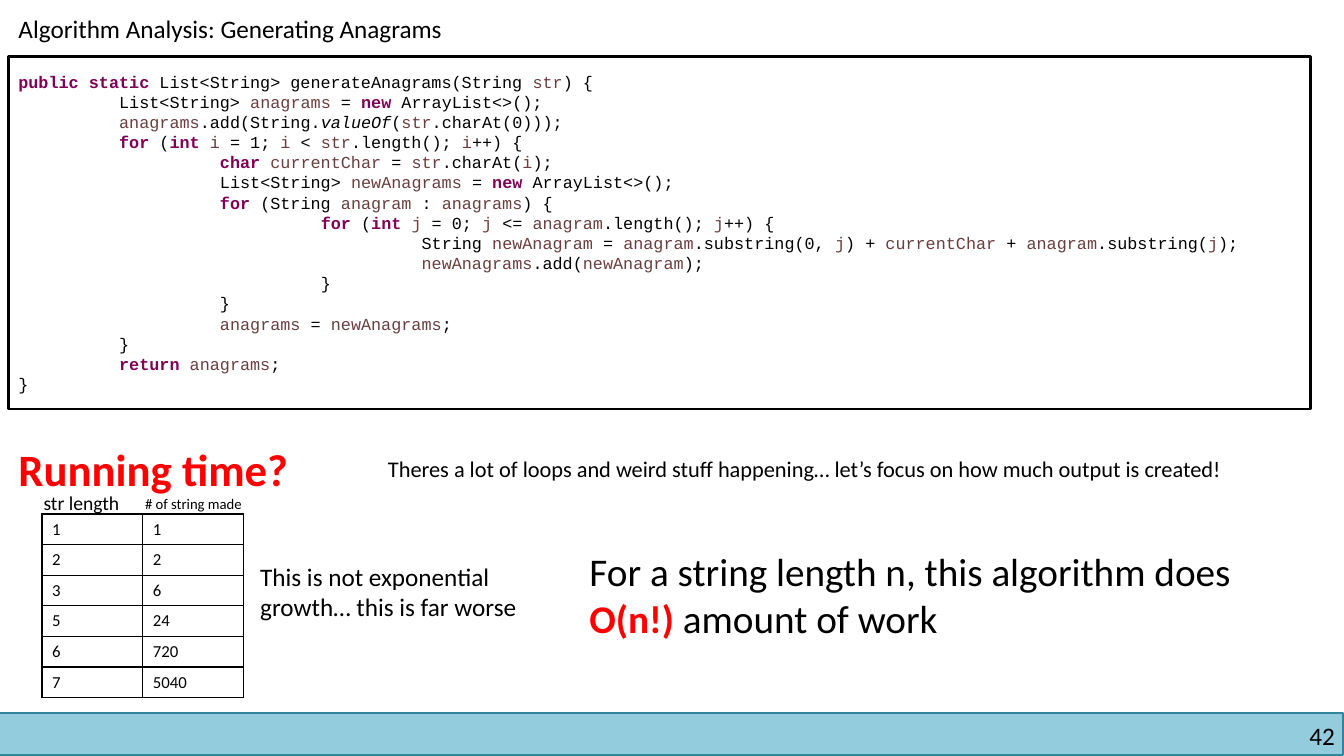
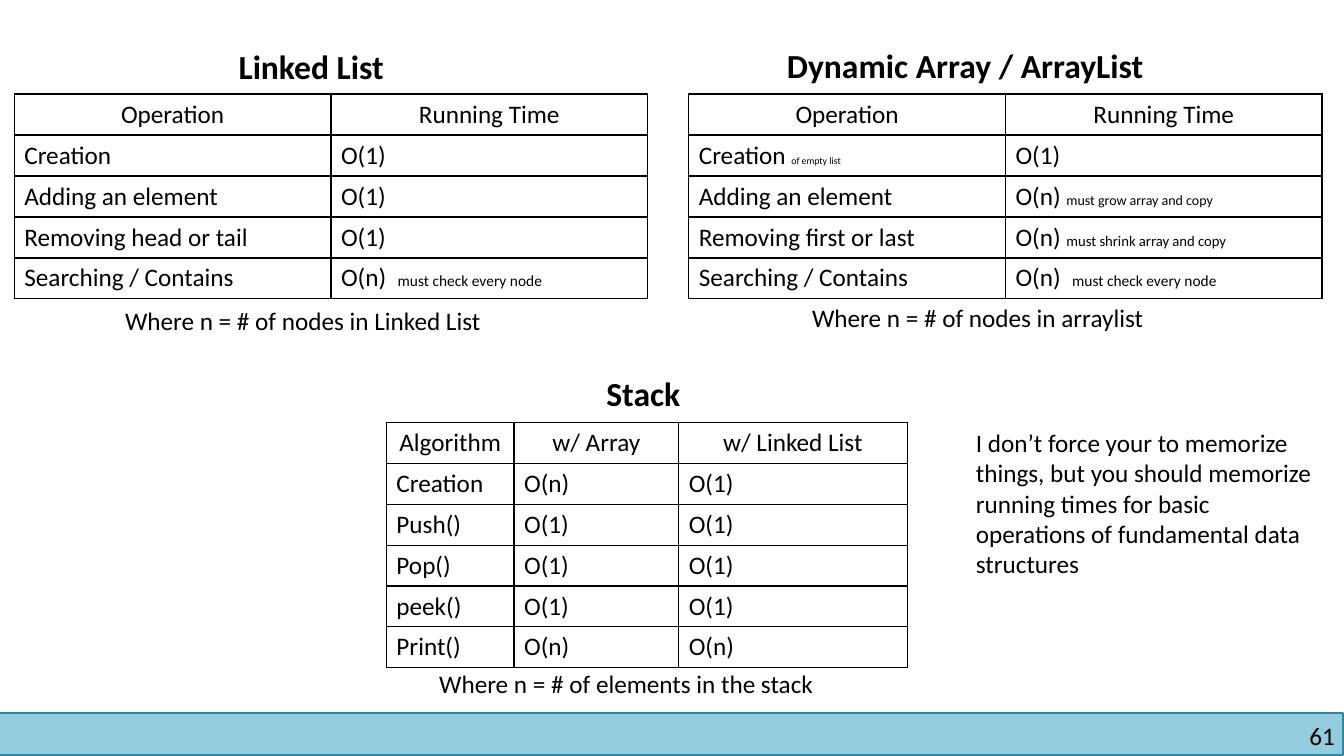
from itertools import groupby

from lxml.etree import SubElement
from pptx import Presentation
from pptx.dml.color import RGBColor
from pptx.enum.shapes import MSO_SHAPE
from pptx.enum.text import MSO_ANCHOR, MSO_AUTO_SIZE, PP_ALIGN
from pptx.oxml.ns import qn
from pptx.util import Inches, Pt

BLACK, WHITE, RED = "000000", "FFFFFF", "FF0000"
BAND, BAND_LINE = "93CDDD", "31859C"
KEYWORD, VARIABLE = "7F0055", "6A3E3E"

prs = Presentation()
prs.slide_width, prs.slide_height = Inches(13.33), Inches(7.5)
rgb = RGBColor.from_string


def at(x, y, w, h):
    """Place on a grid of 160 columns by 90 rows."""
    col, row = prs.slide_width / 160, prs.slide_height / 90
    return int(x * col), int(y * row), int(w * col), int(h * row)


def add_run(p, text, size, color=BLACK, bold=False, font="Calibri"):
    r = p.add_run()
    r.text = text
    r.font.name, r.font.size, r.font.bold = font, Pt(size), bold
    r.font.color.rgb = rgb(color)
    return r


# Code listing
code = """public static List<String> generateAnagrams(String str) {
\tList<String> anagrams = new ArrayList<>();
\tanagrams.add(String.valueOf(str.charAt(0)));
\tfor (int i = 1; i < str.length(); i++) {
\t\tchar currentChar = str.charAt(i);
\t\tList<String> newAnagrams = new ArrayList<>();
\t\tfor (String anagram : anagrams) {
\t\t\tfor (int j = 0; j <= anagram.length(); j++) {
\t\t\t\tString newAnagram = anagram.substring(0, j) + currentChar + anagram.substring(j);
\t\t\t\tnewAnagrams.add(newAnagram);
\t\t\t}
\t\t}
\t\tanagrams = newAnagrams;
\t}
\treturn anagrams;
}"""
word_colors = dict.fromkeys("public static new for int char return".split(), KEYWORD)
word_colors |= dict.fromkeys(
    "str anagrams anagram newAnagrams newAnagram currentChar i j".split(), VARIABLE)

# Tables: place, column widths, text size, has header row, rows
growth = (at(5, 61.2, 24, 21.6), (12, 12), 12, False, [
    ("1", "1"), ("2", "2"), ("3", "6"), ("5", "24"), ("6", "720"), ("7", "5040")])
stack = (at(46, 50.3, 62, 29.2), (15.2, 19.6, 27.2), 18, True, [
    ("Algorithm", "w/ Array", "w/ Linked List"),
    ("Creation", "O(n)", "O(1)"),
    ("Push()", "O(1)", "O(1)"),
    ("Pop()", "O(1)", "O(1)"),
    ("peek()", "O(1)", "O(1)"),
    ("Print()", "O(n)", "O(n)")])
# A cell with a small note is a (text, note, note size) tuple
search = ("Searching / Contains", ("O(n)  ", "must check every node", 11))
linked = (at(1.7, 11.2, 75.4, 24.4), (37.7, 37.7), 18, True, [
    ("Operation", "Running Time"),
    ("Creation", "O(1)"),
    ("Adding an element", "O(1)"),
    ("Removing head or tail", "O(1)"),
    search])
dynamic = (at(82, 11.2, 75.4, 24.4), (37.7, 37.7), 18, True, [
    ("Operation", "Running Time"),
    (("Creation ", "of empty list", 7), "O(1)"),
    ("Adding an element", ("O(n) ", "must grow array and copy", 10)),
    ("Removing first or last", ("O(n) ", "must shrink array and copy", 10.5)),
    search])

# Slides: number, title (place, text, size, bold), tables, text boxes
slides = [
    ("42", (at(1, 1, 58.7, 4.8), "Algorithm Analysis: Generating Anagrams", 18, False),
     [growth], [
        (at(1, 52, 40, 7.7), [("Running time?", 32, RED, True)]),
        (at(45, 53.6, 112, 4.4),
         [("Theres a lot of loops and weird stuff happening… "
           "let’s focus on how much output is created!", 16)]),
        (at(4, 57.9, 12.1, 4), [("str length", 14)]),
        (at(16.1, 58.3, 15.6, 3.5), [("# of string made", 10.5)]),
        (at(29.8, 66.2, 36, 12.1),
         [("This is not exponential growth… this is far worse", 18)]),
        (at(69, 64.6, 88, 12.5),
         [("For a string length n, this algorithm does ", 28),
          ("O(n!) ", 28, RED, True), ("amount of work", 28)])]),
    ("61", (at(27.2, 4.9, 23.8, 6), "Linked List", 24, True),
     [stack, linked, dynamic], [
        (at(71, 43.8, 13.2, 6), [("Stack", 24, BLACK, True)]),
        (at(51.1, 79, 51.6, 4.8), [("Where n = # of elements in the stack", 18)]),
        (at(13.7, 35.8, 50, 4.8), [("Where n = # of nodes in Linked List", 18)]),
        (at(95.5, 35.4, 46, 4.8), [("Where n = # of nodes in arraylist", 18)]),
        (at(92.5, 4.8, 52, 6), [("Dynamic Array / ArrayList", 24, BLACK, True)]),
        (at(115, 50.3, 42.4, 19.4),
         [("I don’t force your to memorize things, but you should memorize running "
           "times for basic operations of fundamental data structures", 18)])]),
]

layout = prs.slide_layouts[5]
for number, (place, title, size, bold), tables, texts in slides:
    s = prs.slides.add_slide(layout)

    # Title
    sp = s.shapes.title
    sp.left, sp.top, sp.width, sp.height = place
    tf = sp.text_frame
    tf.auto_size, tf.vertical_anchor = MSO_AUTO_SIZE.NONE, MSO_ANCHOR.TOP
    tf.paragraphs[0].alignment = PP_ALIGN.LEFT
    add_run(tf.paragraphs[0], title, size, bold=bold)

    # Tables
    for place, widths, size, header, rows in tables:
        table = s.shapes.add_table(len(rows), len(widths), *place).table
        table.first_row = table.horz_banding = False
        for column, width in zip(table.columns, widths):
            column.width = at(0, 0, width, 0)[2]
        for i, row in enumerate(rows):
            for j, content in enumerate(row):
                cell = table.cell(i, j)
                p = cell.text_frame.paragraphs[0]
                if header and i == 0:
                    p.alignment = PP_ALIGN.CENTER
                text, *note = (content,) if isinstance(content, str) else content
                add_run(p, text, size)
                if note:
                    add_run(p, *note)
                tcPr = cell._tc.get_or_add_tcPr()
                for side in ("lnL", "lnR", "lnT", "lnB"):
                    ln = SubElement(tcPr, qn("a:" + side), w=str(Pt(1)))
                    SubElement(SubElement(ln, qn("a:solidFill")), qn("a:srgbClr"), val=BLACK)
                cell.fill.solid()
                cell.fill.fore_color.rgb = rgb(WHITE)

    # Text boxes
    for place, runs in texts:
        tf = s.shapes.add_textbox(*place).text_frame
        tf.word_wrap = True
        for run in runs:
            add_run(tf.paragraphs[0], *run)

    # Slide number
    tf = s.shapes.add_textbox(*at(122, 85.8, 36.9, 3.6)).text_frame
    tf.word_wrap = True
    tf.margin_left = tf.margin_right = tf.margin_top = tf.margin_bottom = 0
    tf.paragraphs[0].alignment = PP_ALIGN.RIGHT
    add_run(tf.paragraphs[0], number, 18)

# Code box on the first slide
s = prs.slides[0]
sp = s.shapes.add_shape(MSO_SHAPE.RECTANGLE, *at(1, 6.7, 155, 42))
sp.shadow.inherit = False
sp.fill.solid()
sp.fill.fore_color.rgb = rgb(WHITE)
sp.line.color.rgb, sp.line.width = rgb(BLACK), Pt(2)
tf = sp.text_frame
tf.word_wrap, tf.vertical_anchor = True, MSO_ANCHOR.MIDDLE
for n, line in enumerate(code.split("\n")):
    p = tf.add_paragraph() if n else tf.paragraphs[0]
    p.alignment = PP_ALIGN.LEFT
    tabs = SubElement(p._p.get_or_add_pPr(), qn("a:tabLst"))
    for stop in range(1, 5):
        SubElement(tabs, qn("a:tab"), pos=str(Inches(stop)), algn="l")
    # Split into words and symbols, then join neighbours of one style
    words = ["".join(chars) for _, chars in groupby(line, str.isalnum)]
    styled = groupby(words, lambda w: (word_colors.get(w, BLACK), w == "valueOf"))
    for (color, italic), group in styled:
        r = add_run(p, "".join(group), 12, color, color == KEYWORD, "Courier New")
        r.font.italic = italic

# Footer band, moved to the shared layout
band = s.shapes.add_shape(MSO_SHAPE.RECTANGLE, *at(-0.1, 84.9, 160, 5))
band.shadow.inherit = False
band.fill.solid()
band.fill.fore_color.rgb = rgb(BAND)
band.line.color.rgb, band.line.width = rgb(BAND_LINE), Pt(1)
band.element.nvSpPr.cNvPr.set("id", "99")
layout.shapes.element.insert(2, band.element)

prs.save("out.pptx")
